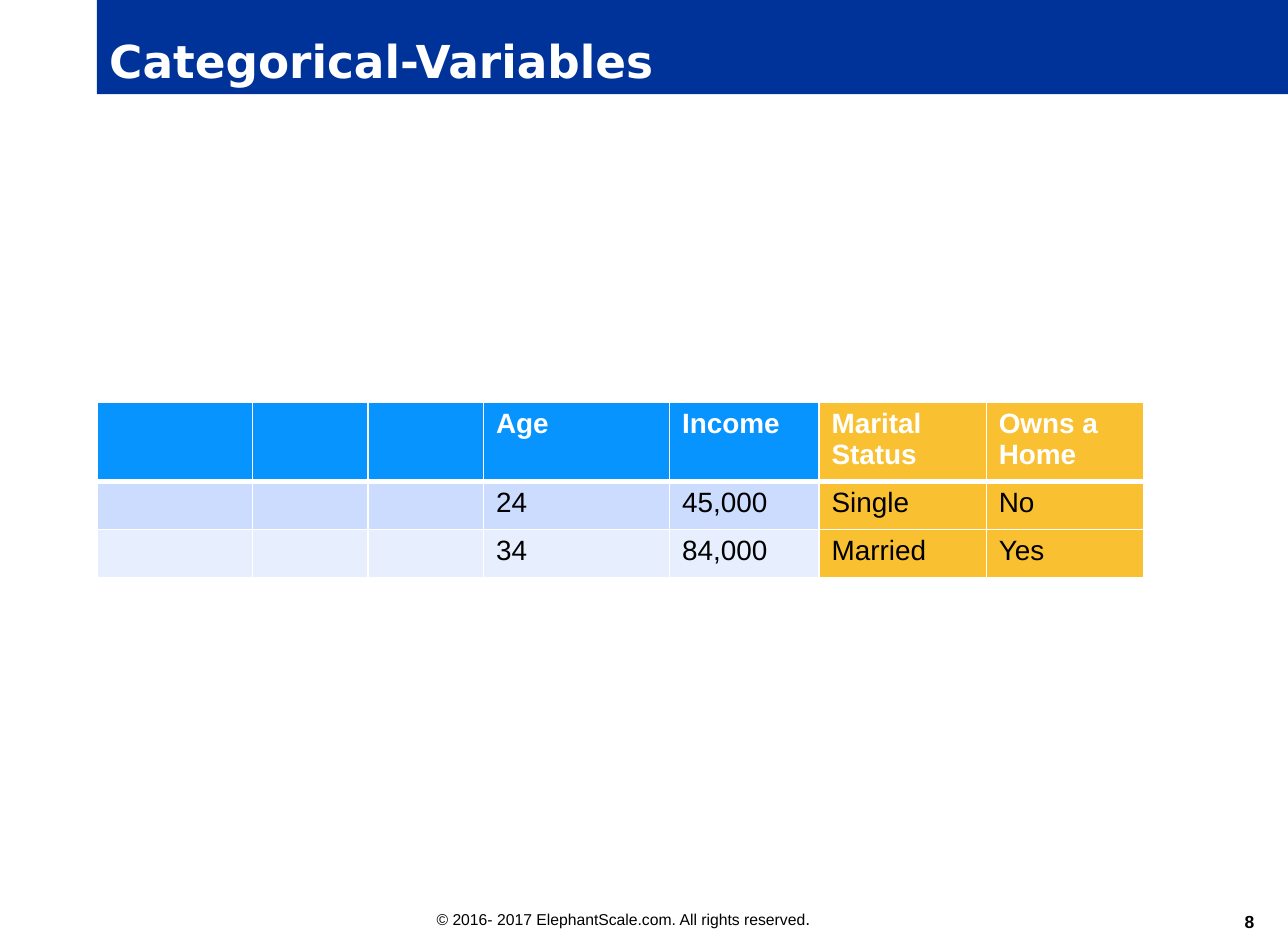
from lxml import etree
from pptx import Presentation
from pptx.dml.color import RGBColor
from pptx.enum.shapes import MSO_SHAPE as SHAPE
from pptx.enum.text import MSO_ANCHOR as ANCHOR, PP_ALIGN as ALIGN
from pptx.oxml.ns import qn
from pptx.util import Pt

WHITE = RGBColor(0xFF, 0xFF, 0xFF)
BLACK = RGBColor(0, 0, 0)
NAVY = RGBColor(0x00, 0x33, 0x99)
BLUE = RGBColor(0x07, 0x94, 0xFF)
LIGHT_BLUE = RGBColor(0xCC, 0xDC, 0xFF)
PALE_BLUE = RGBColor(0xE7, 0xEF, 0xFF)
AMBER = RGBColor(0xF9, 0xC0, 0x32)

LEFT = 55.5
BODY_FONT = "Arial"
CELL_SIZE = 16
THIN, THICK = 0.96, 3
COLUMN_WIDTHS = [89.2, 66.2, 66.2, 106.6, 85.7, 95.8, 90]
ROW_HEIGHTS = [42.5, 27.5, 27.5]
ROW_FILLS = [BLUE, LIGHT_BLUE, PALE_BLUE]
FIRST_CATEGORICAL = 5
ROWS = [
    ["", "", "", "Age", "Income", "Marital Status", "Owns a Home"],
    ["", "", "", "24", "45,000", "Single", "No"],
    ["", "", "", "34", "84,000", "Married", "Yes"],
]


def format_run(r, size, color, bold=False, font=BODY_FONT):
    r.font.name = font
    r.font.size = Pt(size)
    r.font.bold = bold
    r.font.color.rgb = color


def add_title_bar(slide, text):
    sp = slide.shapes.add_shape(SHAPE.RECTANGLE, Pt(LEFT), 0, Pt(738 - LEFT), Pt(54))
    sp.shadow.inherit = False
    sp.fill.solid()
    sp.fill.fore_color.rgb = NAVY
    sp.line.fill.background()
    tf = sp.text_frame
    tf.vertical_anchor = ANCHOR.BOTTOM
    tf.text = text
    p = tf.paragraphs[0]
    p.alignment = ALIGN.LEFT
    format_run(p.runs[0], 26, WHITE, True, "DejaVu Sans")


def add_text(slide, left, top, width, height):
    tf = slide.shapes.add_textbox(Pt(left), Pt(top), Pt(width), Pt(height)).text_frame
    tf.word_wrap = True
    return tf


def add_footer(slide):
    p = add_text(slide, 243.1, 517, 335, 18.7).paragraphs[0]
    for text, size in [("© 2016- 2017 ElephantScale.com. All rights reserved", 9), (".", 10)]:
        r = p.add_run()
        r.text = text
        format_run(r, size, BLACK)


def add_slide_number(slide, number):
    tf = add_text(slide, 675.4, 516.2, 43.2, 18)
    tf.margin_left = tf.margin_right = tf.margin_top = tf.margin_bottom = 0
    tf.vertical_anchor = ANCHOR.BOTTOM
    tf.text = number
    p = tf.paragraphs[0]
    p.alignment = ALIGN.RIGHT
    format_run(p.runs[0], 10, BLACK, True)


def set_borders(cell, top, bottom):
    tc_pr = cell._tc.get_or_add_tcPr()
    for tag, width in [("lnL", THIN), ("lnR", THIN), ("lnT", top), ("lnB", bottom)]:
        ln = etree.SubElement(tc_pr, qn(f"a:{tag}"), w=str(Pt(width)))
        fill = etree.SubElement(ln, qn("a:solidFill"))
        etree.SubElement(fill, qn("a:srgbClr"), val=str(WHITE))


def set_cell_text(cell, text, header):
    p = cell.text_frame.paragraphs[0]
    if text:
        p.text = text
        format_run(p.runs[0], CELL_SIZE, WHITE if header else BLACK, header)
    else:
        end = etree.SubElement(p._p, qn("a:endParaRPr"), sz=str(CELL_SIZE * 100))
        etree.SubElement(end, qn("a:latin"), typeface=BODY_FONT)


def add_variables_table(slide):
    table = slide.shapes.add_table(
        len(ROWS), len(COLUMN_WIDTHS), Pt(LEFT), Pt(230.4),
        Pt(sum(COLUMN_WIDTHS)), Pt(sum(ROW_HEIGHTS))).table
    for column, width in zip(table.columns, COLUMN_WIDTHS):
        column.width = Pt(width)
    for i, (row, height) in enumerate(zip(table.rows, ROW_HEIGHTS)):
        row.height = Pt(height)
        for j, cell in enumerate(row.cells):
            set_borders(cell, THICK if i == 1 else THIN, THICK if i == 0 else THIN)
            cell.fill.solid()
            cell.fill.fore_color.rgb = AMBER if j >= FIRST_CATEGORICAL else ROW_FILLS[i]
            set_cell_text(cell, ROWS[i][j], header=i == 0)


def main():
    prs = Presentation()
    prs.slide_width, prs.slide_height = Pt(738), Pt(540)
    slide = prs.slides.add_slide(prs.slide_layouts[6])
    add_footer(slide)
    add_title_bar(slide, "Categorical-Variables")
    add_slide_number(slide, "8")
    add_variables_table(slide)
    prs.save("out.pptx")


if __name__ == "__main__":
    main()
